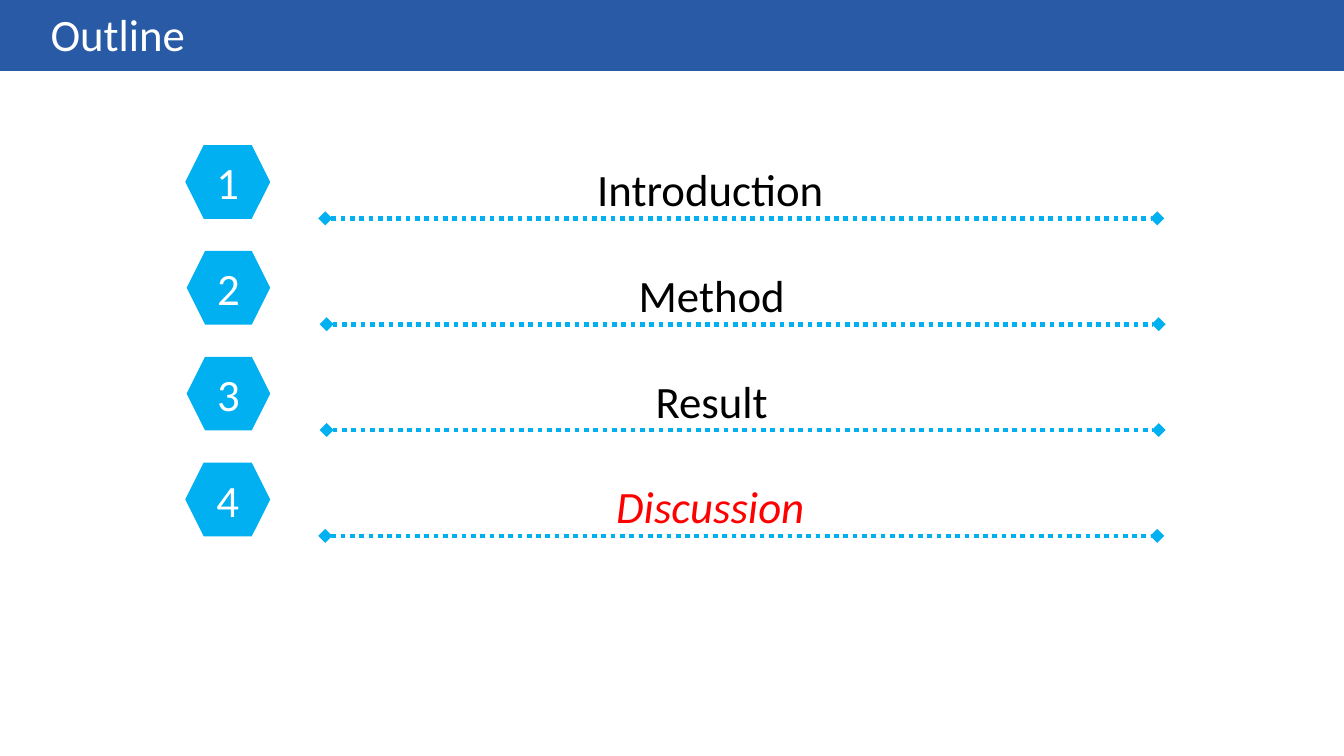
from dataclasses import dataclass

from lxml import etree
from pptx import Presentation
from pptx.dml.color import RGBColor
from pptx.enum.dml import MSO_LINE
from pptx.enum.shapes import MSO_CONNECTOR, MSO_SHAPE
from pptx.enum.text import MSO_ANCHOR, PP_ALIGN
from pptx.oxml.ns import qn
from pptx.util import Pt

RECTANGLE, HEXAGON = MSO_SHAPE.RECTANGLE, MSO_SHAPE.HEXAGON
STRAIGHT, DOTTED = MSO_CONNECTOR.STRAIGHT, MSO_LINE.ROUND_DOT
LEFT, CENTER = PP_ALIGN.LEFT, PP_ALIGN.CENTER
TOP, MIDDLE = MSO_ANCHOR.TOP, MSO_ANCHOR.MIDDLE


@dataclass(frozen=True)
class Theme:
    font: str = "Calibri"
    size: int = 24
    band: RGBColor = RGBColor(0x29, 0x5A, 0xA6)
    accent: RGBColor = RGBColor(0x00, 0xB0, 0xF0)
    light: RGBColor = RGBColor(0xFF, 0xFF, 0xFF)
    dark: RGBColor = RGBColor(0x00, 0x00, 0x00)
    current: RGBColor = RGBColor(0xFF, 0x00, 0x00)


theme = Theme()


def write(shape, text, color=theme.dark, align=CENTER, anchor=TOP, italic=False):
    frame = shape.text_frame
    frame.word_wrap = True
    frame.vertical_anchor = anchor
    paragraph = frame.paragraphs[0]
    paragraph.alignment = align
    run = paragraph.add_run()
    run.text = text
    run.font.name = theme.font
    run.font.size = Pt(theme.size)
    run.font.color.rgb = color
    run.font.italic = italic


def add_filled(shapes, kind, left, top, width, height, color):
    shape = shapes.add_shape(kind, Pt(left), Pt(top), Pt(width), Pt(height))
    shape.shadow.inherit = False
    shape.fill.solid()
    shape.fill.fore_color.rgb = color
    shape.line.fill.background()
    return shape


prs = Presentation()
prs.slide_width, prs.slide_height = Pt(720), Pt(405)
slide = prs.slides.add_slide(prs.slide_layouts[6])

# Title band
add_filled(slide.shapes, RECTANGLE, 0, 0, 720, 38, theme.band)
title = slide.shapes.add_textbox(Pt(20), Pt(0), Pt(255), Pt(36))
write(title, "Outline", color=theme.light, align=LEFT)

# Numbered sections: (name, is current, shift to the right)
sections = [
    ("Introduction", False, 0),
    ("Method", False, 0.75),
    ("Result", False, 0.75),
    ("Discussion", True, 0),
]
first_top, pitch = 77.75, 56.7
badge_right, badge_width, badge_height = 144.75, 45.5, 39.5

for index, (name, is_current, shift) in enumerate(sections):
    top = first_top + index * pitch
    section = slide.shapes.add_group_shape().shapes

    # Number badge
    width = badge_width - shift
    badge = add_filled(section, HEXAGON, badge_right - width, top,
                       width, badge_height, theme.accent)
    write(badge, str(index + 1), color=theme.light, anchor=MIDDLE)

    # Dotted rule with diamond ends
    rule_y = Pt(top + 39.25)
    rule = section.add_connector(STRAIGHT, Pt(174.25 + shift), rule_y,
                                 Pt(620 + shift), rule_y)
    rule.line.color.rgb = theme.accent
    rule.line.width = Pt(2.5)
    rule.line.dash_style = DOTTED
    line_xml = rule.line._get_or_add_ln()
    for end in ("a:headEnd", "a:tailEnd"):
        etree.SubElement(line_xml, qn(end), type="diamond")
    etree.SubElement(rule._element.spPr, qn("a:effectLst"))

    # Section name
    label = section.add_textbox(Pt(179 + shift), Pt(top + 5.25), Pt(403), Pt(36))
    write(label, name, color=theme.current if is_current else theme.dark,
          italic=is_current)

prs.save("out.pptx")
